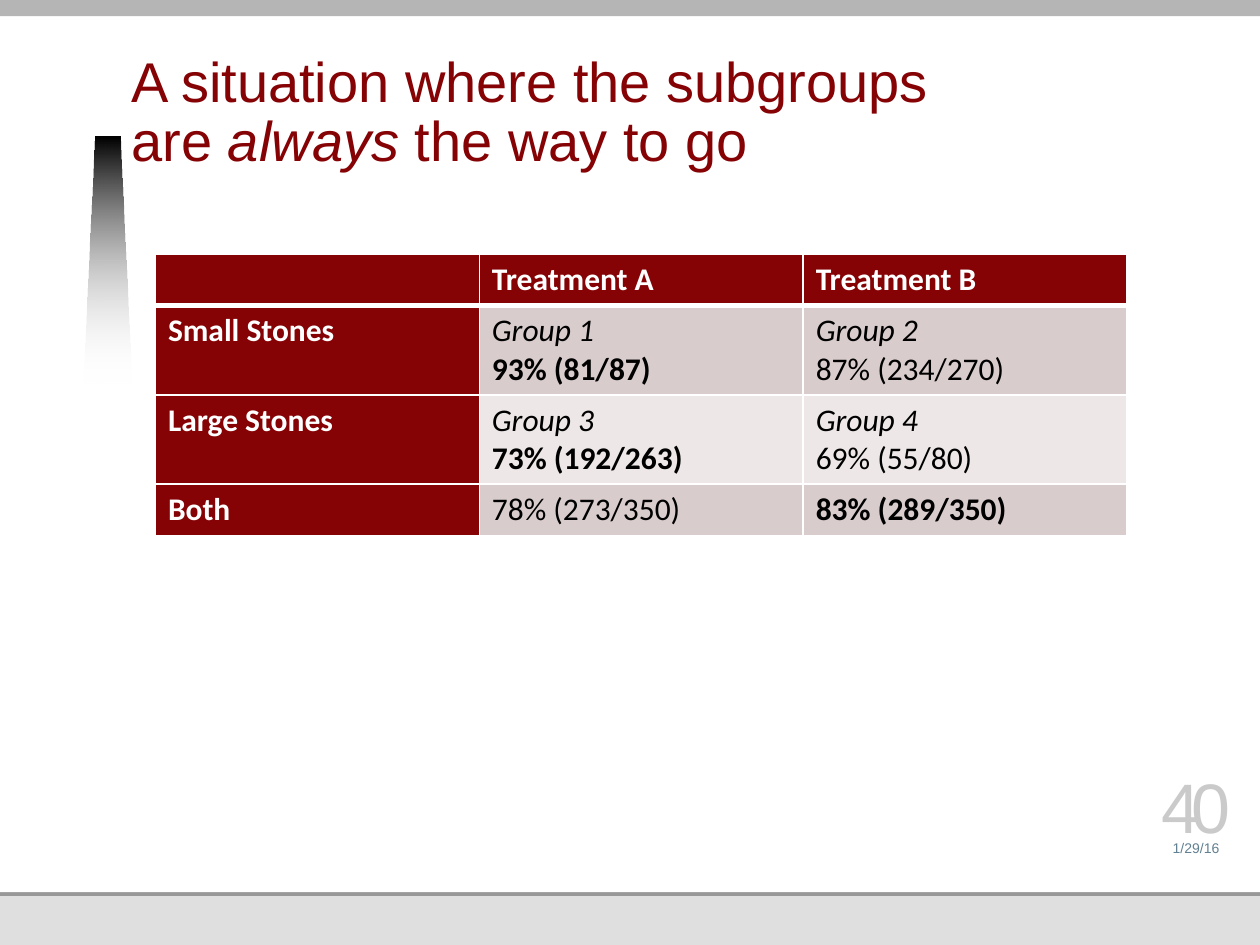
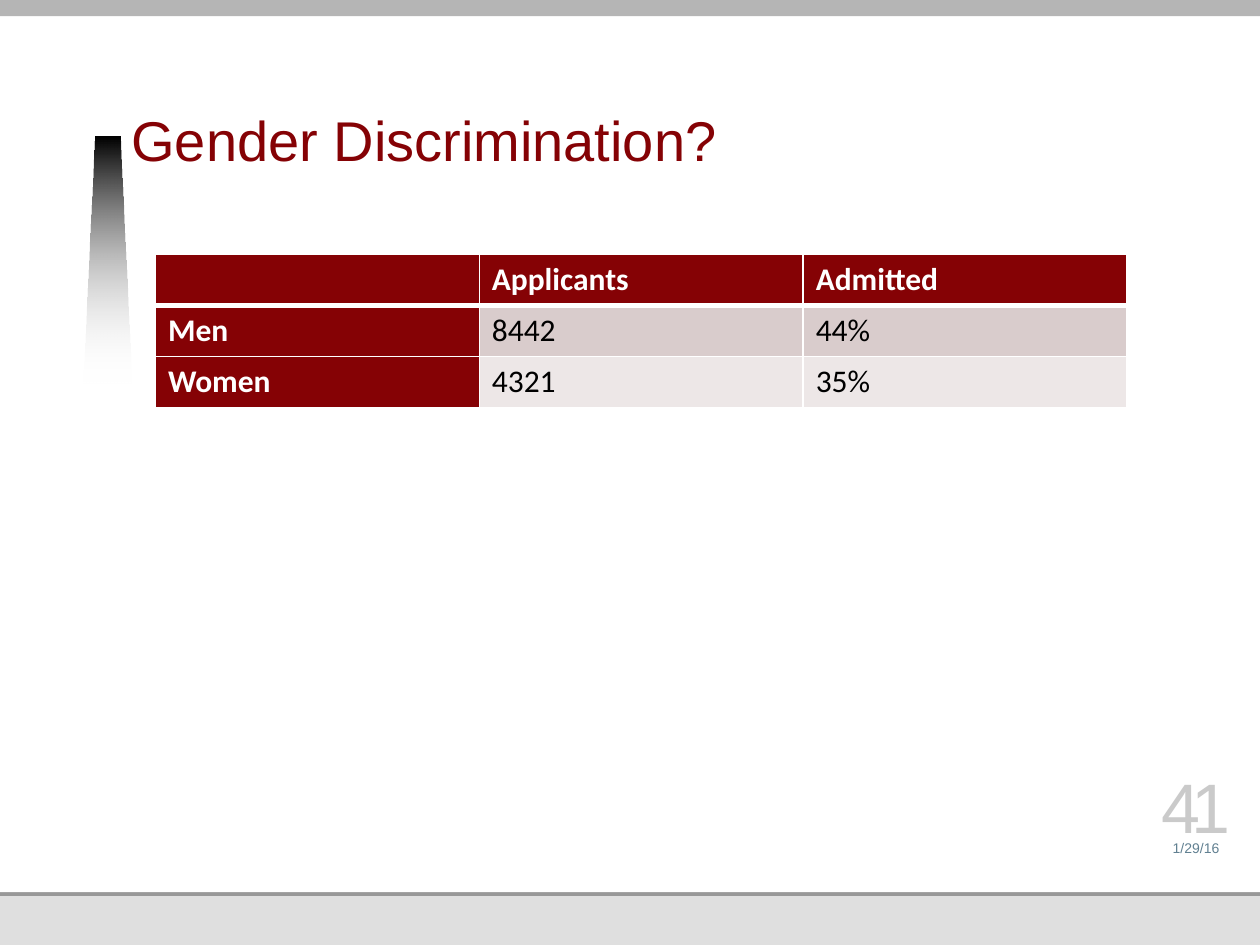
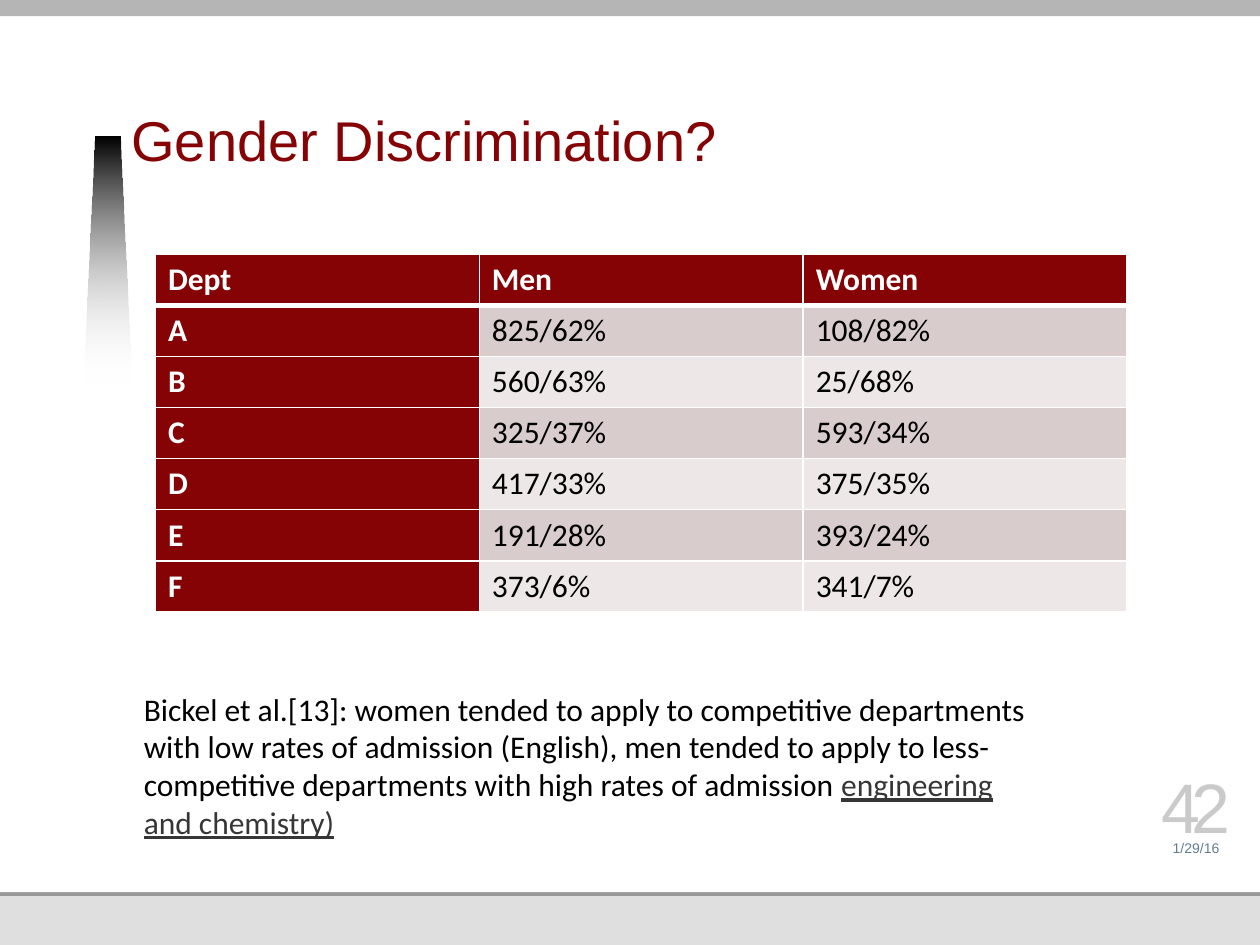
from dataclasses import dataclass

from lxml.etree import SubElement
from pptx import Presentation
from pptx.dml.color import RGBColor as Rgb
from pptx.enum.shapes import MSO_SHAPE as Shape
from pptx.enum.text import MSO_ANCHOR as Anchor, MSO_AUTO_SIZE as AutoSize, PP_ALIGN as Align
from pptx.oxml.ns import qn
from pptx.util import Pt


@dataclass(frozen=True)
class Theme:
    """Colours, fonts and type sizes of the deck."""
    maroon: Rgb = Rgb(0x85, 0x02, 0x05)
    rose: Rgb = Rgb(0xD9, 0xCC, 0xCC)
    pale_rose: Rgb = Rgb(0xED, 0xE7, 0xE7)
    white: Rgb = Rgb(0xFF, 0xFF, 0xFF)
    black: Rgb = Rgb(0, 0, 0)
    top_band: Rgb = Rgb(0xB5, 0xB5, 0xB5)
    footer_band: Rgb = Rgb(0xDF, 0xDF, 0xDF)
    footer_rule: Rgb = Rgb(0x98, 0x98, 0x98)
    date: Rgb = Rgb(0x61, 0x80, 0x91)
    number: Rgb = Rgb(0xCA, 0xCA, 0xCA)
    link: Rgb = Rgb(0x36, 0x36, 0x36)
    heading_font: str = "Arial"
    body_font: str = "Calibri"
    title_size: Pt = Pt(32)
    body_size: Pt = Pt(18)
    date_size: Pt = Pt(8)
    number_size: Pt = Pt(40)


THEME = Theme()
WIDTH, HEIGHT = 720, 540
# Backdrop layers from back to front: top, height, colour.
BACKDROP = [
    (0, HEIGHT, THEME.footer_band),
    (128, 384, THEME.footer_rule),
    (0, 509.8, THEME.white),
]
ROW_HEIGHT, TWO_LINE_HEIGHT, COLUMN_WIDTH = 29.2, 51.1, 185.1
DATE = "1/29/16"
FIRST_NUMBER = 40

BOLD = {"bold": True}
ITALIC = {"italic": True}
TITLE = {"name": THEME.heading_font, "size": THEME.title_size, "color": THEME.maroon}
BODY = {"name": THEME.body_font, "size": THEME.body_size, "color": THEME.black}
HEADER = {**BODY, **BOLD, "color": THEME.white}
LINK = {"underline": True, "color": THEME.link}
DATE_STYLE = {"name": THEME.heading_font, "size": THEME.date_size, "color": THEME.date}
NUMBER_STYLE = {"name": THEME.heading_font, "size": THEME.number_size, "color": THEME.number}


def set_all(target, values):
    """Set each named attribute of the target."""
    for name, value in values.items():
        setattr(target, name, value)


def write_spans(para, spans, style):
    """Fill a paragraph with (text, extra style) spans."""
    for text, extra in spans:
        span = para.add_run()
        span.text = text
        font = {**style, **extra}
        span.font.color.rgb = font.pop("color")
        set_all(span.font, font)


def add_text(page, place, spans, style, frame=None, para_format=None):
    """Add a wrapping one-paragraph text box and return its paragraph."""
    box = page.shapes.add_textbox(*map(Pt, place))
    set_all(box.text_frame, {"word_wrap": True, **(frame or {})})
    para = box.text_frame.paragraphs[0]
    set_all(para, para_format or {})
    write_spans(para, spans, style)
    return para


def add_band(page, top, height, color):
    """Add a full-width band."""
    band = page.shapes.add_shape(Shape.RECTANGLE, 0, Pt(top), Pt(WIDTH), Pt(height))
    band.shadow.inherit = False
    band.fill.solid()
    band.fill.fore_color.rgb = color
    band.line.fill.background()


def add_fading_wedge(page):
    """Add the wedge beside the title, fading from black to clear."""
    corners = [(48, 219.4), (54.6, 78), (68.5, 78), (75, 219.4)]
    start, *others = [(Pt(x), Pt(y)) for x, y in corners]
    builder = page.shapes.build_freeform(*start)
    builder.add_line_segments(others, close=True)
    wedge = builder.convert_to_shape()
    wedge.shadow.inherit = False
    wedge.line.fill.background()
    wedge.fill.gradient()
    wedge.fill.gradient_angle = 270
    for stop, position, color in zip(wedge.fill.gradient_stops, (0, 1), (THEME.black, THEME.white)):
        stop.position = position
        stop.color.rgb = color
    clear_color = list(wedge.element.spPr.iter(qn("a:srgbClr")))[-1]
    SubElement(clear_color, qn("a:alpha"), val="0")


def add_footer(page, number):
    """Add the date and the slide number."""
    flush = {"margin_left": 0, "margin_top": 0, "margin_right": 0, "margin_bottom": 0,
             "vertical_anchor": Anchor.BOTTOM}
    centred = {"alignment": Align.CENTER}
    add_text(page, (657.2, 473.4, 52.6, 15.8), [(DATE, {})], DATE_STYLE, flush, centred)
    para = add_text(page, (657.2, 443.9, 52.6, 40.3), [(str(number), {})],
                    NUMBER_STYLE, flush, centred)
    para.runs[0].font._element.set("spc", "-500")


def add_page(deck, number, title):
    """Add a page with the shared backdrop, wedge, title and footer."""
    page = deck.slides.add_slide(deck.slide_layouts[6])
    for top, height, color in BACKDROP:
        add_band(page, top, height, color)
    add_fading_wedge(page)
    add_band(page, 0, 9.3, THEME.top_band)
    add_text(page, (75.1, 24.7, 494.6, 77.7), title, TITLE,
             {"margin_left": 0, "margin_top": 0, "margin_right": 0,
              "margin_bottom": Pt(3.6), "vertical_anchor": Anchor.BOTTOM},
             {"line_spacing": Pt(34)})
    add_footer(page, number)
    return page


def set_borders(cell, widths):
    """Give a cell white borders, with widths in points by side."""
    properties = cell._tc.get_or_add_tcPr()
    for side, width in widths.items():
        line = SubElement(properties, qn(f"a:ln{side}"), w=str(Pt(width)))
        fill = SubElement(line, qn("a:solidFill"))
        SubElement(fill, qn("a:srgbClr"), val=str(THEME.white))


def fill_cell(cell, content, row, column):
    """Write one cell: plain text, or a list of (text, style) lines."""
    is_header = row == 0 or column == 0
    set_borders(cell, {"L": 1, "R": 1, "T": 3 if row == 1 else 1, "B": 3 if row == 0 else 1})
    cell.fill.solid()
    band_color = THEME.rose if row % 2 else THEME.pale_rose
    cell.fill.fore_color.rgb = THEME.maroon if is_header else band_color
    lines = [(content, {})] if isinstance(content, str) else content
    for index, line in enumerate(lines):
        frame = cell.text_frame
        para = frame.add_paragraph() if index else frame.paragraphs[0]
        if line[0]:
            write_spans(para, [line], HEADER if is_header else BODY)


def add_data_table(page, rows):
    """Add a table with a header row, a header column and banded rows."""
    heights = [TWO_LINE_HEIGHT if any(len(cell) > 1 for cell in row if isinstance(cell, list))
               else ROW_HEIGHT for row in rows]
    columns = len(rows[0])
    frame = page.shapes.add_table(len(rows), columns, Pt(88.8), Pt(145.3),
                                  Pt(COLUMN_WIDTH * columns), Pt(sum(heights)))
    table = frame.table
    set_all(table, {"first_row": True, "first_col": True, "horz_banding": True})
    for column in table.columns:
        column.width = Pt(COLUMN_WIDTH)
    for row, (contents, height) in enumerate(zip(rows, heights)):
        table.rows[row].height = Pt(height)
        for column, content in enumerate(contents):
            fill_cell(table.cell(row, column), content, row, column)


def group(number, rate, style):
    """Return the two lines of a numbered group cell."""
    return [(f"Group {number}", ITALIC), (rate, style)]


def main():
    """Build the three slides and save the deck."""
    deck = Presentation()
    set_all(deck, {"slide_width": Pt(WIDTH), "slide_height": Pt(HEIGHT)})

    page = add_page(deck, FIRST_NUMBER, [("A situation where the subgroups are ", {}),
                                         ("always ", ITALIC), ("the way to go", {})])
    add_data_table(page, [
        ["", "Treatment A", "Treatment B"],
        ["Small Stones", group(1, "93% (81/87)", BOLD), group(2, "87% (234/270)", {})],
        ["Large Stones", group(3, "73% (192/263)", BOLD), group(4, "69% (55/80)", {})],
        ["Both", "78% (273/350)", [("83% (289/350)", BOLD)]],
    ])

    question = [("Gender Discrimination?", {})]
    page = add_page(deck, FIRST_NUMBER + 1, question)
    add_data_table(page, [
        ["", "Applicants", "Admitted"],
        ["Men", "8442", "44%"],
        ["Women", "4321", "35%"],
    ])

    page = add_page(deck, FIRST_NUMBER + 2, question)
    add_data_table(page, [
        ["Dept", "Men", "Women"],
        ["A", "825/62%", "108/82%"],
        ["B", "560/63%", "25/68%"],
        ["C", "325/37%", "593/34%"],
        ["D", "417/33%", "375/35%"],
        ["E", "191/28%", "393/24%"],
        ["F", "373/6%", "341/7%"],
    ])
    explanation = ("Bickel et al.[13]: women tended to apply to competitive departments with low "
                   "rates of admission (English), men tended to apply to less-competitive "
                   "departments with high rates of admission ")
    add_text(page, (75.1, 390.5, 521.3, 94.5),
             [(explanation, {}), ("engineering and chemistry)", LINK)], BODY,
             {"auto_size": AutoSize.SHAPE_TO_FIT_TEXT})

    deck.save("out.pptx")


main()
